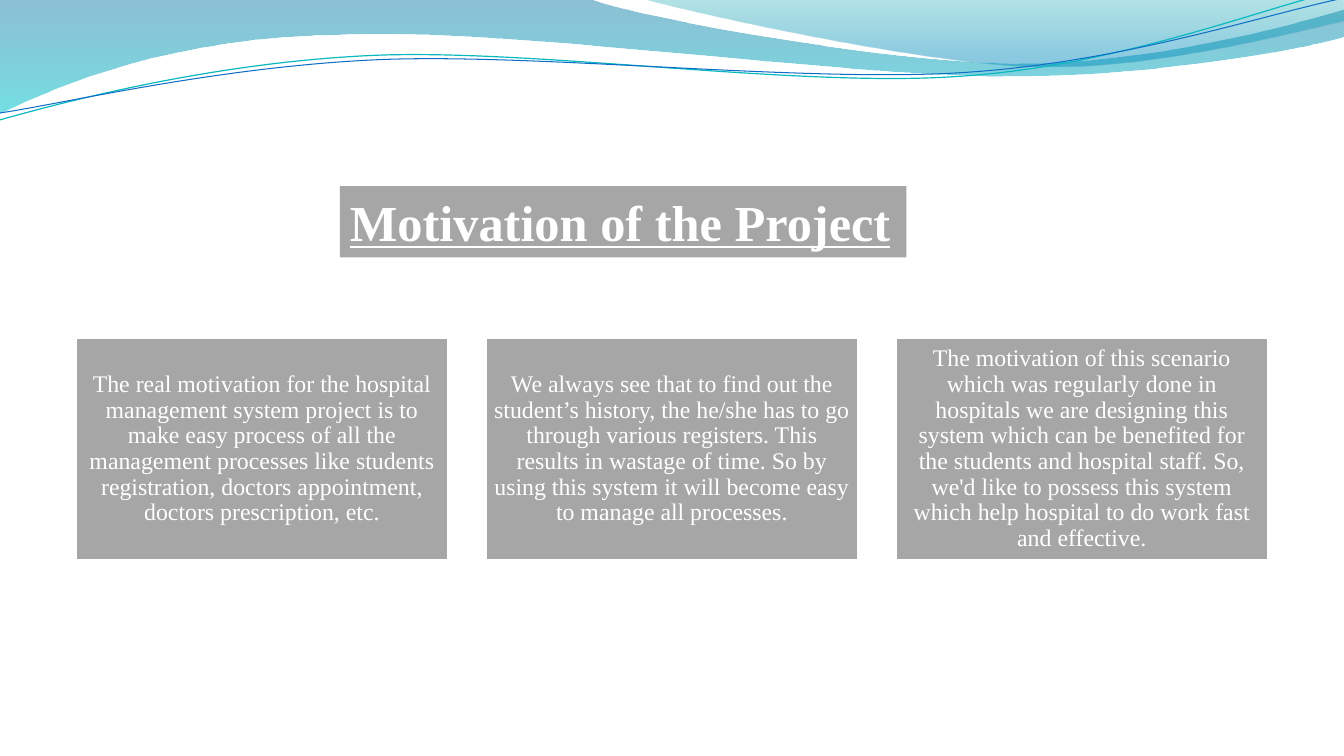
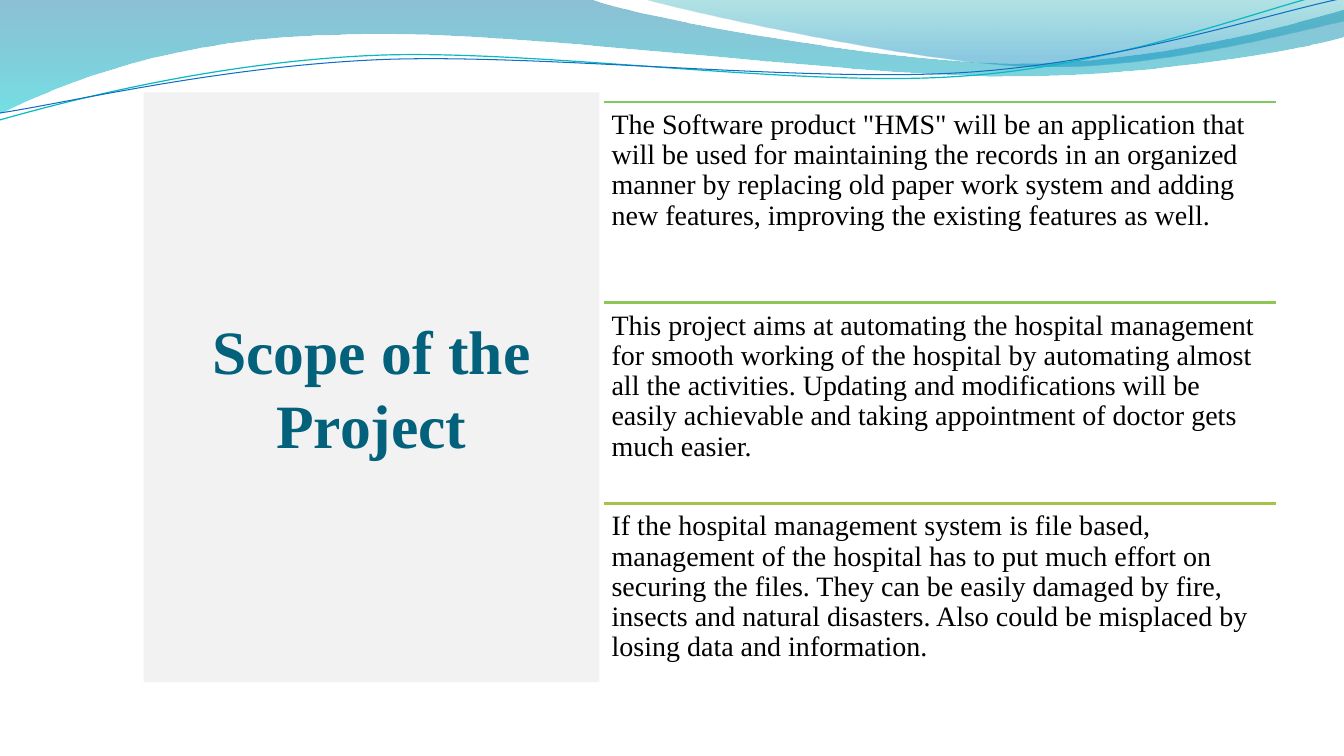
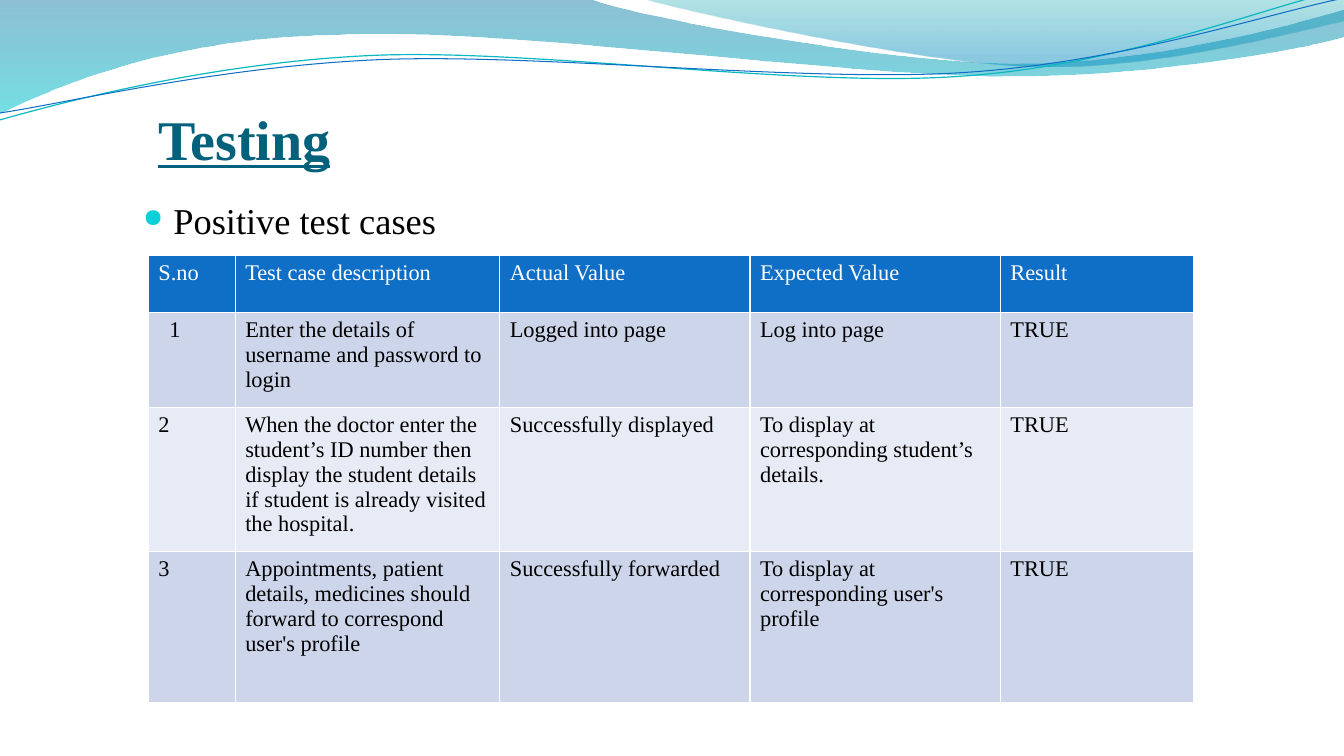
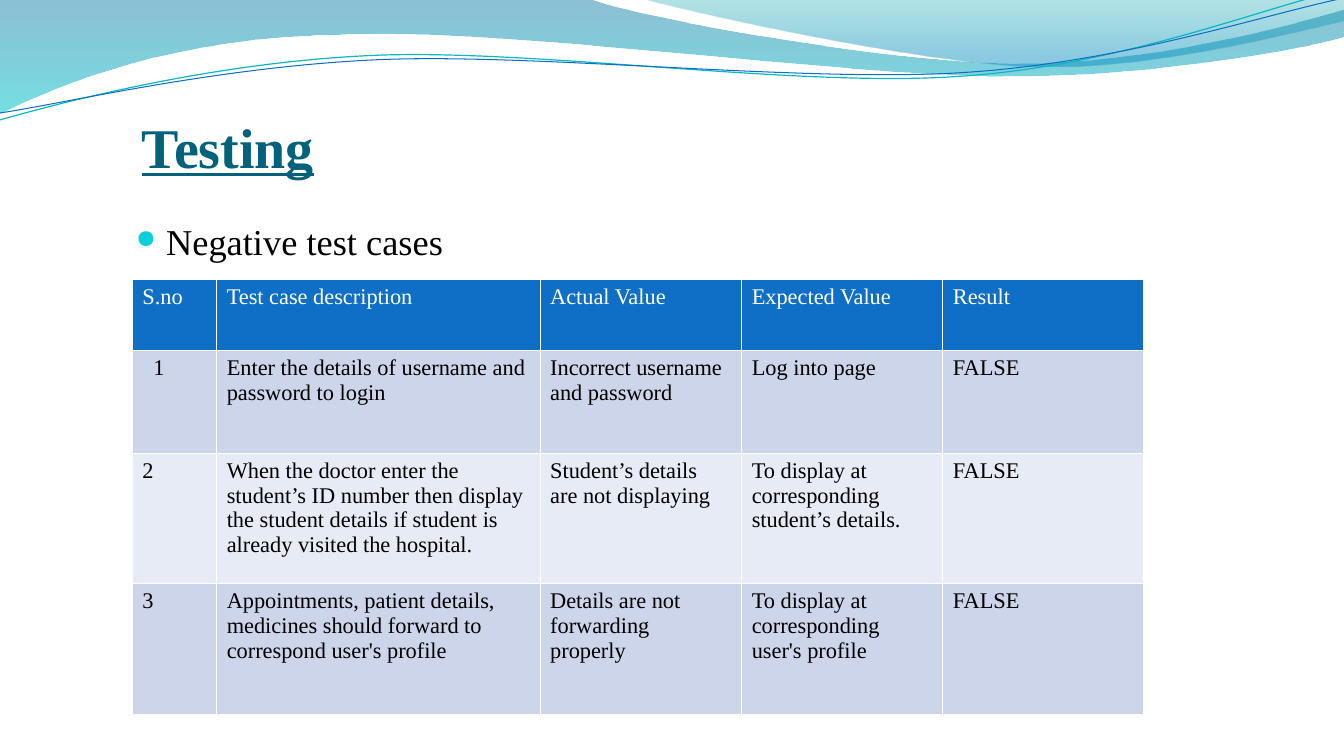
from lxml.etree import SubElement
from pptx import Presentation
from pptx.dml.color import RGBColor
from pptx.enum.shapes import MSO_CONNECTOR as Connector, MSO_SHAPE as Shape
from pptx.enum.text import MSO_ANCHOR as Anchor, MSO_AUTO_SIZE as AutoSize, PP_ALIGN as Align
from pptx.oxml import parse_xml
from pptx.oxml.ns import nsdecls, qn
from pptx.util import Emu, Inches, Pt

FONT = "Times New Roman"
WHITE, BLACK, GREY, PALE = "FFFFFF", "000000", "A6A6A6", "F2F2F2"
TEAL, AQUA, BLUE = "04617B", "0BD0D9", "0F6FC6"
BANDS = ("CCD5EA", "E7EBF5")
COLUMNS = 32
CELL = Inches(40 / 3) / COLUMNS

FILLED_WAVES = [
    ((0, 0),
     [[(14.09, -0.02)],
      [(15.22, 0.41), (21.24, 1.51), (24.26, 1.51)],
      [(27.31, 1.51), (30.67, 0.62), (32, 0.22)],
      [(32.04, 0.86)],
      [(31.46, 1.06), (27.84, 1.82), (23.86, 1.81)],
      [(19.9, 1.8), (12.22, 0.67), (8.23, 0.82)],
      [(4.1, 0.86), (1.46, 1.99), (-0.02, 2.71)]],
     [(0, "0074A1", 45), (1, "00C6CF", 55)]),
    ((15.34, -0.01),
     [[(16.3, 0.26), (21.82, 1.49), (24.6, 1.57)],
      [(27.38, 1.66), (30.77, 0.77), (32, 0.5)],
      [(32, 0)]],
     [(0, "00A1A9", 30), (0.8, "008BBF", 45)]),
]
LINE_WAVES = [
    ((-0.02, 2.86),
     [[(1.54, 2.42), (5.06, 1.49), (8.86, 1.32)],
      [(12.65, 1.15), (18.96, 2.09), (22.8, 1.82)],
      [(26.64, 1.58), (30.05, 0.19), (31.94, -0.24)]],
     "0AB8BF", 0.85),
    ((0, 2.69),
     [[(1.51, 2.47), (5.23, 1.58), (9.07, 1.42)],
      [(12.86, 1.27), (19.1, 1.97), (22.92, 1.73)],
      [(26.76, 1.49), (30.12, 0.34), (32.02, -0.05)]],
     BLUE, 0.75),
]

MOTIVATIONS = [
    "The real motivation for the hospital management system project is to make easy process of all the management processes like students registration, doctors appointment, doctors prescription, etc.",
    "We always see that to find out the student’s history, the he/she has to go through various registers. This results in wastage of time. So by using this system it will become easy to manage all processes.",
    "The motivation of this scenario which was regularly done in hospitals we are designing this system which can be benefited for the students and hospital staff. So, we'd like to possess this system which help hospital to do work fast and effective.",
]
SCOPES = [
    ("7CCA62", "The Software product \"HMS\" will be an application that will be used for maintaining the records in an organized manner by replacing old paper work system and adding new features, improving the existing features as well."),
    ("8EC656", "This project aims at automating the hospital management for smooth working of the hospital by automating almost all the activities. Updating and modifications will be easily achievable and taking appointment of doctor gets much easier."),
    ("A5C249", "If the hospital management system is file based, management of the hospital has to put much effort on securing the files. They can be easily damaged by fire, insects and natural disasters. Also could be misplaced by losing data and information."),
]
HEADINGS = ["S.no", "Test case description", "Actual Value", "Expected Value", "Result"]
CASES = [
    "Enter the details of username and password to login",
    "When the doctor enter the student’s ID number then display the student details if student is already visited the hospital.",
    "Appointments, patient details, medicines should forward to correspond user's profile",
]
EXPECTED = [
    "Log into page",
    "To display at corresponding student’s details.",
    "To display at corresponding user's profile",
]
TESTS = [
    dict(label="Positive test cases", title_at=(3.53, 2.36, 24.91, 2.59),
         label_at=(3.17, 4.59, 24.91, 1.5), table_at=(3.53, 6.08),
         columns=[2.07, 6.3, 5.96, 5.96, 4.6], rows=[1.37, 2.25, 3.44, 3.58],
         actual=["Logged into page", "Successfully displayed", "Successfully forwarded"],
         result="TRUE"),
    dict(label="Negative test cases", title_at=(3.14, 2.55, 25.37, 2.54),
         label_at=(3, 5.09, 25.37, 1.5), table_at=(3.15, 6.65),
         columns=[2.01, 7.7, 4.8, 4.79, 4.79], rows=[1.7, 2.44, 3.11, 3.12],
         actual=["Incorrect username and password", "Student’s details are not displaying",
                 "Details are not forwarding properly"],
         result="FALSE"),
]


def color(value):
    return RGBColor.from_string(value)


def grid(*lengths):
    return [Emu(round(length * CELL)) for length in lengths]


def write(frame, text, size=16, ink=BLACK, bold=False, underline=False, align=Align.LEFT,
          anchor=Anchor.TOP, inset=None, spacing=None, bullet=None, wrap=True):
    frame.word_wrap = wrap
    frame.vertical_anchor = anchor
    if inset is not None:
        frame.margin_left = frame.margin_right = frame.margin_top = frame.margin_bottom = Inches(inset)
    para = frame.paragraphs[0]
    para.alignment = align
    if spacing:
        para.line_spacing = spacing
    if bullet:
        properties = para._p.get_or_add_pPr()
        properties.set("marL", str(Inches(0.3)))
        properties.set("indent", str(-Inches(0.3)))
        SubElement(SubElement(properties, qn("a:buClr")), qn("a:srgbClr"), val=AQUA)
        SubElement(properties, qn("a:buSzPct"), val="70000")
        SubElement(properties, qn("a:buChar"), char=bullet)
    span = para.add_run()
    span.text = text
    font = span.font
    font.name, font.size, font.bold, font.underline = FONT, Pt(size), bold, underline
    font.color.rgb = color(ink)


class Deck:
    def __init__(self):
        self.deck = Presentation()
        self.deck.slide_width, self.deck.slide_height = grid(COLUMNS, 18)
        self.layout = self.deck.slide_layouts[5]
        self.slide = None

    def page(self, title, at, fill=None, **style):
        first = self.slide is None
        self.slide = self.deck.slides.add_slide(self.layout)
        if first:
            self.waves()
        box = self.slide.shapes.title
        box.left, box.top, box.width, box.height = grid(*at)
        if fill:
            box.fill.solid()
            box.fill.fore_color.rgb = color(fill)
        write(box.text_frame, title, ink=style.pop("ink", TEAL), bold=True, **style)
        box.text_frame.auto_size = AutoSize.NONE

    def freeform(self, start, segments, close):
        builder = self.slide.shapes.build_freeform(*grid(*start))
        builder.add_line_segments(
            [grid(*point) for segment in segments for point in segment], close=close)
        shape = builder.convert_to_shape()
        shape.shadow.inherit = False
        nodes = iter(list(shape.element.iter(qn("a:lnTo"))))
        for segment in segments:
            node, *others = [next(nodes) for _ in segment]
            if others:
                curve = SubElement(node.getparent(), qn("a:cubicBezTo"))
                node.addprevious(curve)
                for corner in (node, *others):
                    curve.append(corner[0])
                    corner.getparent().remove(corner)
        return shape

    def waves(self):
        shapes = []
        for start, segments, stops in FILLED_WAVES:
            shape = self.freeform(start, segments, True)
            shape.line.fill.background()
            shape.fill.gradient()
            shape.fill.gradient_angle = 270
            for stop, (position, tint, _) in zip(shape.fill.gradient_stops, stops):
                stop.position = position
                stop.color.rgb = color(tint)
            tints = shape.element.spPr.iter(qn("a:srgbClr"))
            for node, (_, _, opacity) in zip(list(tints), stops):
                SubElement(node, qn("a:alpha"), val=str(opacity * 1000))
            shapes.append(shape)
        for start, segments, tint, width in LINE_WAVES:
            shape = self.freeform(start, segments, False)
            shape.fill.background()
            shape.line.color.rgb = color(tint)
            shape.line.width = Pt(width)
            shapes.append(shape)
        tree = self.deck.slide_master.shapes.element
        for index, shape in enumerate(shapes):
            shape.element.nvSpPr.cNvPr.set("id", str(101 + index))
            tree.insert(2 + index, shape.element)

    def card(self, text, at):
        box = self.slide.shapes.add_shape(Shape.RECTANGLE, *grid(*at))
        box.shadow.inherit = False
        box.fill.solid()
        box.fill.fore_color.rgb = color(GREY)
        box.line.color.rgb = color(WHITE)
        box.line.width = Pt(2)
        write(box.text_frame, text, size=17, ink=WHITE, align=Align.CENTER,
              anchor=Anchor.MIDDLE, inset=0.07, spacing=0.9)

    def rule(self, left, top, width, tint):
        line = self.slide.shapes.add_connector(
            Connector.STRAIGHT, *grid(left, top, left + width, top))
        line.line.color.rgb = color(tint)
        line.line.width = Pt(2)
        SubElement(line.element.spPr, qn("a:effectLst"))

    def text(self, text, at, **style):
        box = self.slide.shapes.add_textbox(*grid(*at))
        write(box.text_frame, text, **style)

    def table(self, records, at, columns, rows):
        frame = self.slide.shapes.add_table(
            len(rows), len(columns), *grid(*at, sum(columns), sum(rows)))
        table = frame.table
        for column, width in zip(table.columns, grid(*columns)):
            column.width = width
        for row, height in zip(table.rows, grid(*rows)):
            row.height = height
        for r, record in enumerate(records):
            for c, value in enumerate(record):
                cell = table.cell(r, c)
                cell.fill.solid()
                cell.fill.fore_color.rgb = color(BANDS[(r - 1) % 2] if r else BLUE)
                write(cell.text_frame, value, ink=BLACK if r else WHITE)
                if (r, c) == (1, 0):
                    cell.margin_left = Inches(0.21)
                if c == 2:
                    cell.margin_right = Inches(0.15)
                self.borders(cell)

    def borders(self, cell):
        properties = cell._tc.get_or_add_tcPr()
        for index, side in enumerate("LRTB"):
            properties.insert(index, parse_xml(
                f'<a:ln{side} {nsdecls("a")} w="{Pt(1)}"><a:solidFill>'
                f'<a:srgbClr val="{WHITE}"/></a:solidFill></a:ln{side}>'))


def main():
    deck = Deck()

    deck.page("Motivation of the Project", (8.09, 4.43, 13.49, 1.7), fill=GREY,
              ink=WHITE, size=36, underline=True, wrap=False)
    for index, motivation in enumerate(MOTIVATIONS):
        deck.card(motivation, (1.8 + 9.76 * index, 8.03, 8.88, 5.32))

    deck.page("Scope of the Project", (3.42, 2.2, 10.85, 14.04), fill=PALE,
              size=44, align=Align.CENTER, anchor=Anchor.MIDDLE)
    for index, (tint, scope) in enumerate(SCOPES):
        top = 2.43 + 4.78 * index
        deck.rule(14.37, top, 16, tint)
        deck.text(scope, (14.37, top, 16, 4.78), size=20, inset=0.08, spacing=0.9)

    for test in TESTS:
        deck.page("Testing", test["title_at"], size=40, underline=True)
        deck.text(test["label"], test["label_at"], size=26, bullet="●")
        records = [HEADINGS]
        for number, (case, actual, expected) in enumerate(zip(CASES, test["actual"], EXPECTED), 1):
            records.append([str(number), case, actual, expected, test["result"]])
        deck.table(records, test["table_at"], test["columns"], test["rows"])

    deck.deck.save("out.pptx")


if __name__ == "__main__":
    main()
